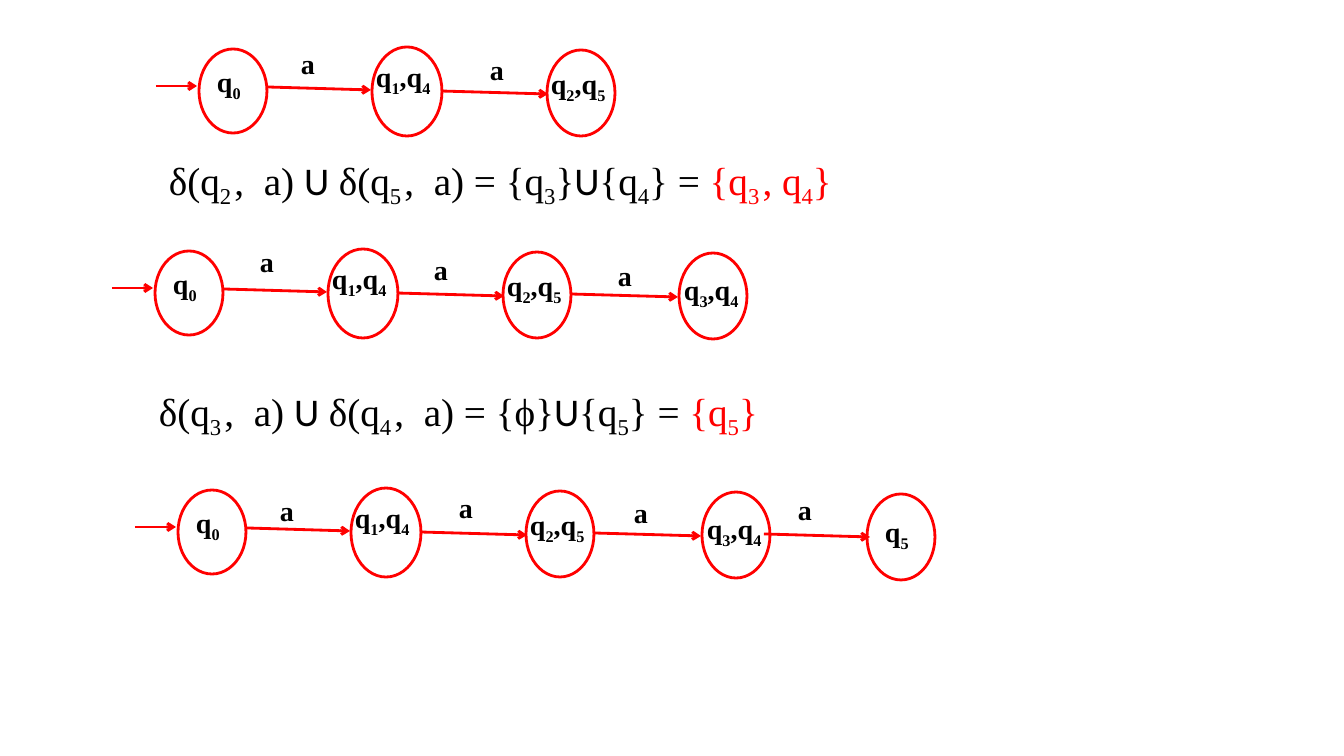
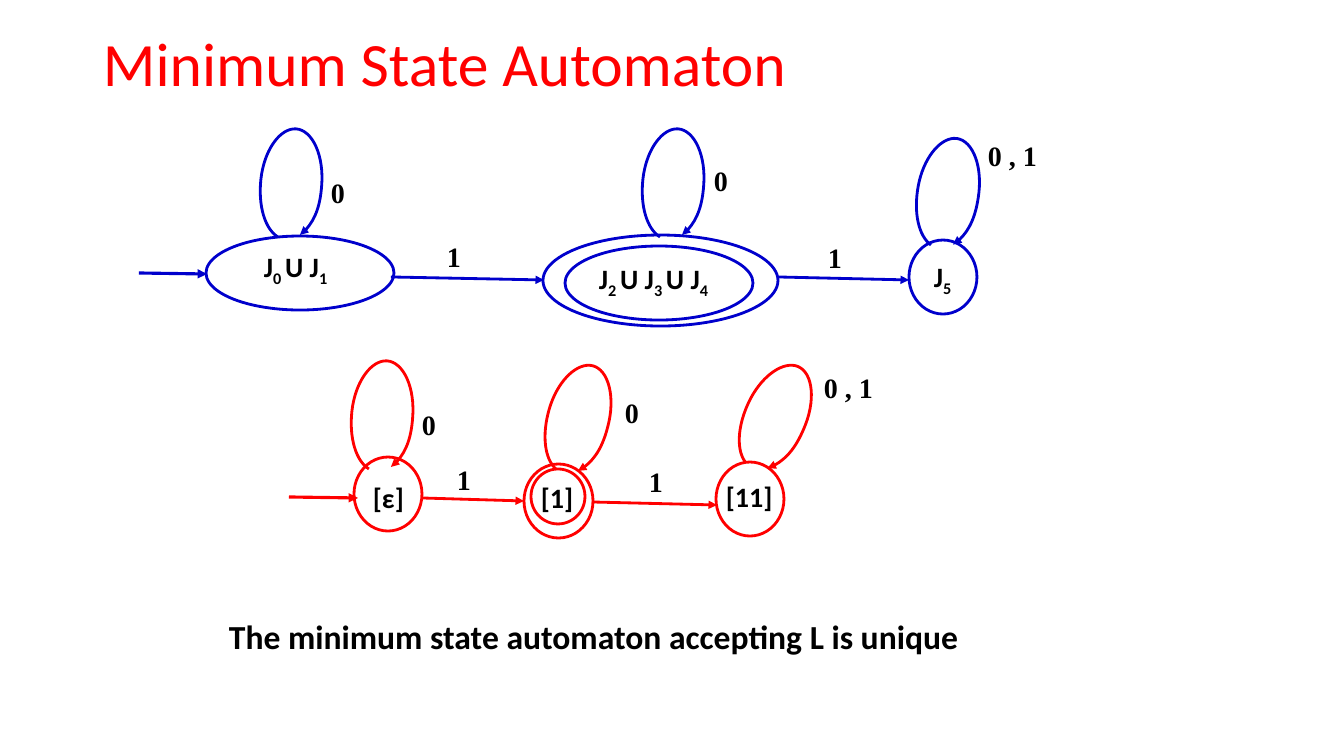
from math import cos, radians, sin

from pptx import Presentation
from pptx.dml.color import RGBColor
from pptx.enum.shapes import MSO_CONNECTOR as Connector, MSO_SHAPE as Shape
from pptx.enum.text import MSO_ANCHOR as Anchor
from pptx.oxml.ns import qn
from pptx.util import Pt
from lxml.etree import SubElement

COLORS = {"red": "FF0000", "blue": "0000CC", "black": "000000"}
SERIF, SANS = "Times New Roman", "Calibri"
SLIDE_WIDTH, SLIDE_HEIGHT = 1344, 756
EMU_PER_PX = 12192000 / SLIDE_WIDTH

# Self-loop: cubic curves relative to the loop's start, three points each
LOOP_CURVES = [
    (-13, -8), (-20, -31), (-17, -58),
    (-14, -85), (0, -106), (15, -108),
    (32, -110), (45, -86), (44, -56),
    (43, -32), (35, -11), (22, -2),
]

# Chain states relative to q0: label, ellipse, label corner, incoming arrow
CHAIN_STATES = [
    ("q_0", (0, 0, 68, 84), (8, 11), (-43, 37, -2, 37)),
    ("q_1,q_4", (173, -2, 70, 89), (167, 6), (69, 38, 172, 41)),
    ("q_2,q_5", (348, 1, 68, 86), (342, 13), (242, 42, 349, 45)),
    ("q_3,q_4", (524, 2, 68, 86), (519, 17), (416, 43, 523, 46)),
    ("q_5", (689, 4, 68, 86), (697, 20), (586, 44, 692, 47)),
]


def px(length):
    return round(length * EMU_PER_PX)


def split_runs(markup):
    """Yield (text, kind): "_" lowers the next character and a space after it."""
    first, *rest = markup.split("_")
    pieces = [(first, "base")]
    for part in rest:
        cut = 2 if part[1:2] == " " else 1
        pieces += [(part[:cut], "subscript"), (part[cut:], "base")]
    for text, kind in pieces:
        before, union, after = text.partition("U")
        for run_text, run_kind in ((before, kind), (union, "union"), (after, kind)):
            if run_text:
                yield run_text, run_kind


def loop_points(left, top, turn):
    """Return the self-loop's points, turned clockwise by the given degrees."""
    angle = radians(turn)
    return [(px(left + x * cos(angle) - y * sin(angle)),
             px(top + x * sin(angle) + y * cos(angle))) for x, y in LOOP_CURVES]


def curve_segments(shape):
    """Turn each three straight segments of a freeform into one cubic curve."""
    segments = list(shape._element.iter(qn("a:lnTo")))
    for index in range(0, len(segments), 3):
        first, second, end = segments[index:index + 3]
        first.tag = qn("a:cubicBezTo")
        for segment in (second, end):
            first.append(segment[0])
            segment.getparent().remove(segment)


class Deck:
    def __init__(self):
        self.presentation = Presentation()
        self.presentation.slide_width = px(SLIDE_WIDTH)
        self.presentation.slide_height = px(SLIDE_HEIGHT)
        self.slide = None
        self.color = self.head = None

    def new_slide(self, color, head):
        self.slide = self.presentation.slides.add_slide(
            self.presentation.slide_layouts[6])
        self.color, self.head = color, head

    def outline(self, shape, weight=2, head=None):
        shape.line.color.rgb = RGBColor.from_string(COLORS[self.color])
        shape.line.width = Pt(weight)
        if head:
            SubElement(shape.line._get_or_add_ln(), qn("a:tailEnd"), type=head)

    def ellipse(self, left, top, width, height):
        shape = self.slide.shapes.add_shape(
            Shape.OVAL, px(left), px(top), px(width), px(height))
        shape.shadow.inherit = False
        shape.fill.background()
        self.outline(shape)

    def arrow(self, x1, y1, x2, y2, weight=2):
        connector = self.slide.shapes.add_connector(
            Connector.STRAIGHT, px(x1), px(y1), px(x2), px(y2))
        self.outline(connector, weight, self.head)
        SubElement(connector._element.spPr, qn("a:effectLst"))

    def loop(self, left, top, turn=0):
        builder = self.slide.shapes.build_freeform(px(left), px(top))
        builder.add_line_segments(loop_points(left, top, turn), close=False)
        shape = builder.convert_to_shape()
        curve_segments(shape)
        shape.shadow.inherit = False
        shape.fill.background()
        self.outline(shape, head=self.head)

    def text(self, left, top, width, height, markup, font=SERIF, size=20,
             bold=True, color="black", anchor=Anchor.TOP, result="", leading=1.0):
        """Place one line of text; the result follows it in red."""
        box = self.slide.shapes.add_textbox(px(left), px(top), px(width), px(height))
        frame = box.text_frame
        frame.word_wrap = True
        frame.vertical_anchor = anchor
        paragraph = frame.paragraphs[0]
        paragraph.line_spacing = leading
        paragraph.font.name = font
        paragraph.font.size = Pt(size)
        paragraph.font.bold = bold
        for part, part_color in ((markup, color), (result, "red")):
            for run_text, kind in split_runs(part):
                run = paragraph.add_run()
                run.text = run_text
                run.font.color.rgb = RGBColor.from_string(COLORS[part_color])
                if kind == "subscript":
                    properties = run._r.get_or_add_rPr()
                    properties.set("baseline", "-25000")
                    if font == SERIF and run_text.endswith(" "):
                        properties.set("spc", "-180")
                elif kind == "union":
                    run.font.name = SANS

    def title(self, text):
        self.text(93, 23, 1159, 87, text, SANS, 44, False, "red", Anchor.MIDDLE,
                  leading=0.9)

    def formula(self, left, top, markup, result):
        self.text(left, top, 800, 60, markup, size=28, bold=False, result=result)

    def chain(self, left, top, edge_labels):
        """Draw q0 and one further state for each edge label corner."""
        for label, oval, corner, arrow in CHAIN_STATES[:len(edge_labels) + 1]:
            x, y, width, height = oval
            self.ellipse(left + x, top + y, width, height)
            self.text(left + corner[0], top + corner[1], 88, 60, label)
            x1, y1, x2, y2 = arrow
            self.arrow(left + x1, top + y1, left + x2, top + y2)
        for x, y in edge_labels:
            self.text(x, y, 37, 34, "a")


def subset_slide(deck):
    deck.new_slide("red", "arrow")
    deck.chain(199, 49, [(291, 42), (480, 48)])
    deck.formula(159, 151, "δ(q_2 ,  a) U δ(q_5 ,  a) = {q_3}U{q_4} = ", "{q_3 , q_4}")
    deck.chain(155, 251, [(250, 240), (424, 248), (608, 254)])
    deck.formula(149, 382, "δ(q_3 ,  a) U δ(q_4 ,  a) = {ϕ}U{q_5} = ", "{q_5}")
    deck.chain(178, 490, [(270, 489), (449, 486), (624, 491), (788, 488)])


def automaton(deck, color, ovals, entry, arrows, loops, states, symbols):
    deck.color = color
    for oval in ovals:
        deck.ellipse(*oval)
    deck.arrow(*entry, weight=2.25)
    for arrow in arrows:
        deck.arrow(*arrow)
    for loop in loops:
        deck.loop(*loop)
    for left, top, label in states:
        deck.text(left, top, 175, 52, label, SANS)
    for left, top, symbol in symbols:
        deck.text(left, top, 122, 44, symbol)


def minimum_slide(deck):
    deck.new_slide("blue", "triangle")
    deck.title("Minimum State Automaton")
    automaton(
        deck, "blue",
        ovals=[(206, 236, 188, 74), (543, 235, 235, 91), (565, 246, 188, 74),
               (909, 240, 68, 74)],
        entry=(139, 273, 207, 274),
        arrows=[(391, 277, 544, 280), (778, 277, 909, 280)],
        loops=[(278, 237), (660, 237), (931, 245, 4.2)],
        states=[(254, 245, "J_0 U J_1"), (589, 257, "J_2 U J_3 U J_4"),
                (924, 255, "J_5")],
        symbols=[(321, 171, "0"), (704, 159, "0"), (978, 134, "0 , 1"),
                 (437, 235, "1"), (818, 236, "1")])
    automaton(
        deck, "red",
        ovals=[(354, 457, 68, 74), (524, 464, 69, 74), (531, 469, 54, 55),
               (716, 462, 68, 74)],
        entry=(289, 497, 358, 498),
        arrows=[(422, 498, 524, 501), (592, 502, 717, 505)],
        loops=[(369, 469), (556, 469, 10), (746, 463, 18.8)],
        states=[(363, 476, "[ε]"), (531, 476, "[1]"), (716, 475, "[11]")],
        symbols=[(412, 403, "0"), (615, 391, "0"), (814, 366, "0 , 1"),
                 (447, 458, "1"), (639, 460, "1")])
    deck.text(219, 611, 762, 50, "The minimum state automaton accepting L is unique",
              SANS, 24)


def main():
    deck = Deck()
    subset_slide(deck)
    minimum_slide(deck)
    deck.presentation.save("out.pptx")


if __name__ == "__main__":
    main()
